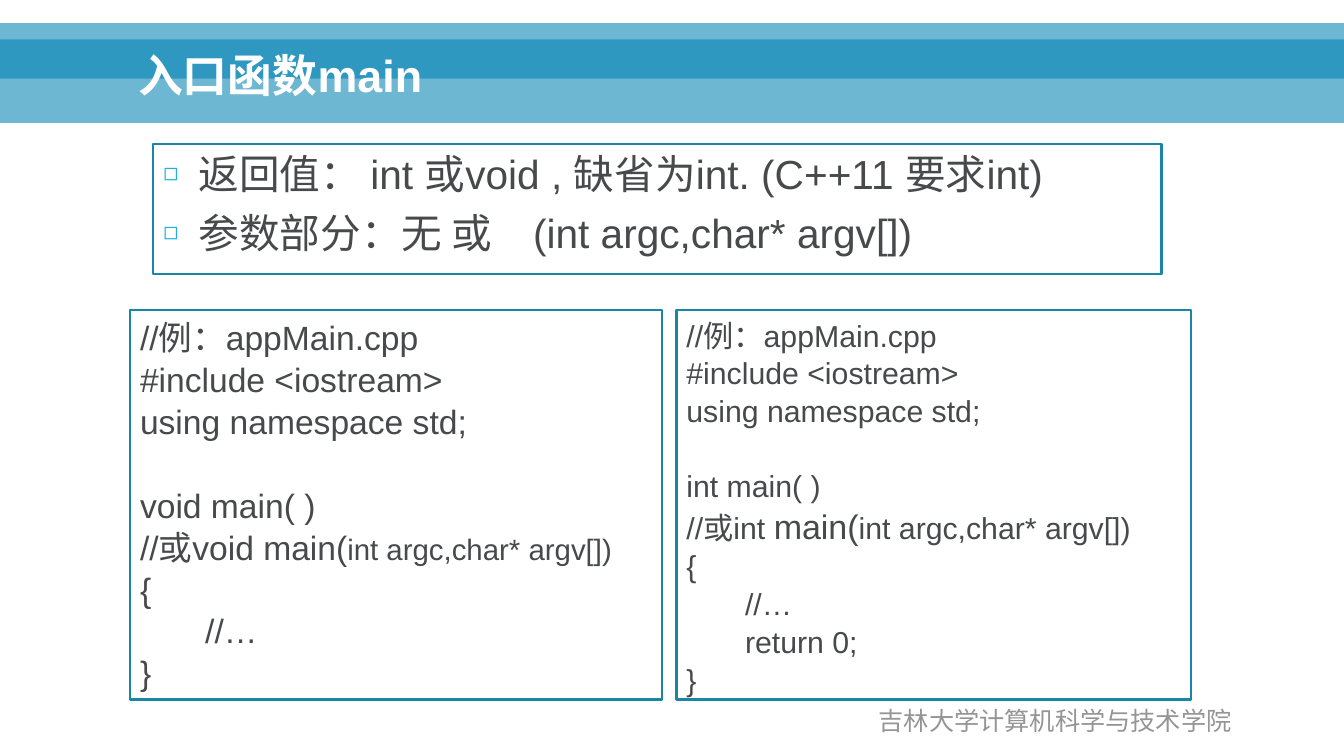
from lxml import etree
from pptx import Presentation
from pptx import util as u
from pptx.dml.color import RGBColor
from pptx.enum import shapes, text
from pptx.oxml.ns import qn

BAND, BORDER, BULLET, INK, GREY, WHITE = "0082B3", "1985A7", "22B1DE", "47494B", "959596", "FFFFFF"


def color(value):
    return RGBColor.from_string(value)


def style(target, values):
    """Set font attributes; a colour is given as a hex string."""
    for name, value in values.items():
        if name == "color":
            target.color.rgb = color(value)
        else:
            setattr(target, name, value)


presentation = Presentation()
presentation.slide_width, presentation.slide_height = u.Inches(13.33), u.Inches(7.5)
slide = presentation.slides.add_slide(presentation.slide_layouts[1])

# Header bands, behind the title
for position, (top, height) in enumerate([(0.39, 0.83), (0.23, 0.55)]):
    band = slide.shapes.add_shape(shapes.MSO_SHAPE.RECTANGLE, 0, u.Inches(top),
                                  u.Inches(13.33), u.Inches(height))
    band.shadow.inherit = False
    band.fill.solid()
    band.fill.fore_color.rgb = color(BAND)
    band.line.fill.background()
    fill_color = band.fill._xPr.find(qn("a:solidFill"))[0]
    etree.SubElement(fill_color, qn("a:alpha"), val="57000")
    slide.shapes._spTree.insert(2 + position, band._element)

# Title, list, code boxes and footer: one frame each
title, points = slide.shapes.title, slide.placeholders[1]
void_code, int_code = [slide.shapes.add_shape(shapes.MSO_SHAPE.RECTANGLE, 0, 0, 0, 0) for _ in range(2)]
footer = slide.shapes.add_textbox(0, 0, 0, 0)
top, middle, bottom = text.MSO_ANCHOR.TOP, text.MSO_ANCHOR.MIDDLE, text.MSO_ANCHOR.BOTTOM
for shape, box, anchor in [
    (title, (1.27, 0.28, 7.74, 0.78), bottom),
    (points, (1.52, 1.43, 10, 1.29), top),
    (void_code, (1.29, 3.08, 5.28, 3.86), top),
    (int_code, (6.71, 3.08, 5.1, 3.86), top),
    (footer, (7.33, 6.95, 6.27, 0.4), middle),
]:
    shape.left, shape.top, shape.width, shape.height = [u.Inches(length) for length in box]
    shape.text_frame.word_wrap = True
    shape.text_frame.auto_size = text.MSO_AUTO_SIZE.NONE
    shape.text_frame.vertical_anchor = anchor

for shape in (points, void_code, int_code):
    shape.line.color.rgb = color(BORDER)
    shape.line.width = u.Pt(1.5)

# Title and footer text
for shape, words, alignment, values in [
    (title, "入口函数main", text.PP_ALIGN.LEFT, {"size": u.Pt(32), "bold": True, "color": WHITE}),
    (footer, "吉林大学计算机科学与技术学院", text.PP_ALIGN.CENTER, {"size": u.Pt(18), "color": GREY}),
]:
    shape.text_frame.text = words
    paragraph = shape.text_frame.paragraphs[0]
    paragraph.alignment = alignment
    style(paragraph.runs[0].font, {"name": "Arial", **values})
title.text_frame.paragraphs[0].line_spacing = 0.9

# Bulleted list
points.text_frame.text = ("返回值： int 或void , 缺省为int. (C++11 要求int)\n"
                          "参数部分：无 或　(int argc,char* argv[])")
for number, paragraph in enumerate(points.text_frame.paragraphs):
    paragraph.space_before = u.Pt(7 if number else 0)
    properties = paragraph._p.get_or_add_pPr()
    properties.set("marL", str(u.Inches(0.35)))
    properties.set("indent", str(-u.Inches(0.35)))
    bullet_color = etree.SubElement(properties, qn("a:buClr"))
    etree.SubElement(bullet_color, qn("a:srgbClr"), val=BULLET)
    etree.SubElement(properties, qn("a:buSzPct"), val="60000")
    etree.SubElement(properties, qn("a:buChar"), char="◻")
    style(paragraph.runs[0].font, {"name": "Arial", "size": u.Pt(29), "color": INK})

# Code samples: (code, size) pieces, each sample one paragraph with line breaks
opening = "//例：appMain.cpp\n#include <iostream>\nusing namespace std;\n\n"
arguments = "int argc,char* argv[])\n"
for shape, pieces in [
    (void_code, [(opening + "void main( )\n//或void main(", 24), (arguments, 21),
                 ("{\n       //…\n}", 24)]),
    (int_code, [(opening + "int main( )\n//或int ", 21.6), ("main(", 24.3),
                (arguments + "{\n       //…\n       return 0;\n}", 21.6)]),
]:
    shape.shadow.inherit = False
    shape.fill.background()
    paragraph = shape.text_frame.paragraphs[0]
    paragraph.alignment = text.PP_ALIGN.LEFT
    paragraph.line_spacing = 1.04
    for code, size in pieces:
        values = {"name": "Arial", "size": u.Pt(size), "color": INK}
        for number, line in enumerate(code.split("\n")):
            if number:
                paragraph.add_line_break()
                line_break = paragraph._p[-1]
                etree.SubElement(line_break, qn("a:rPr"), sz=str(int(size * 100)))
            if line:
                run = paragraph.add_run()
                run.text = line
                style(run.font, values)

presentation.save("out.pptx")
